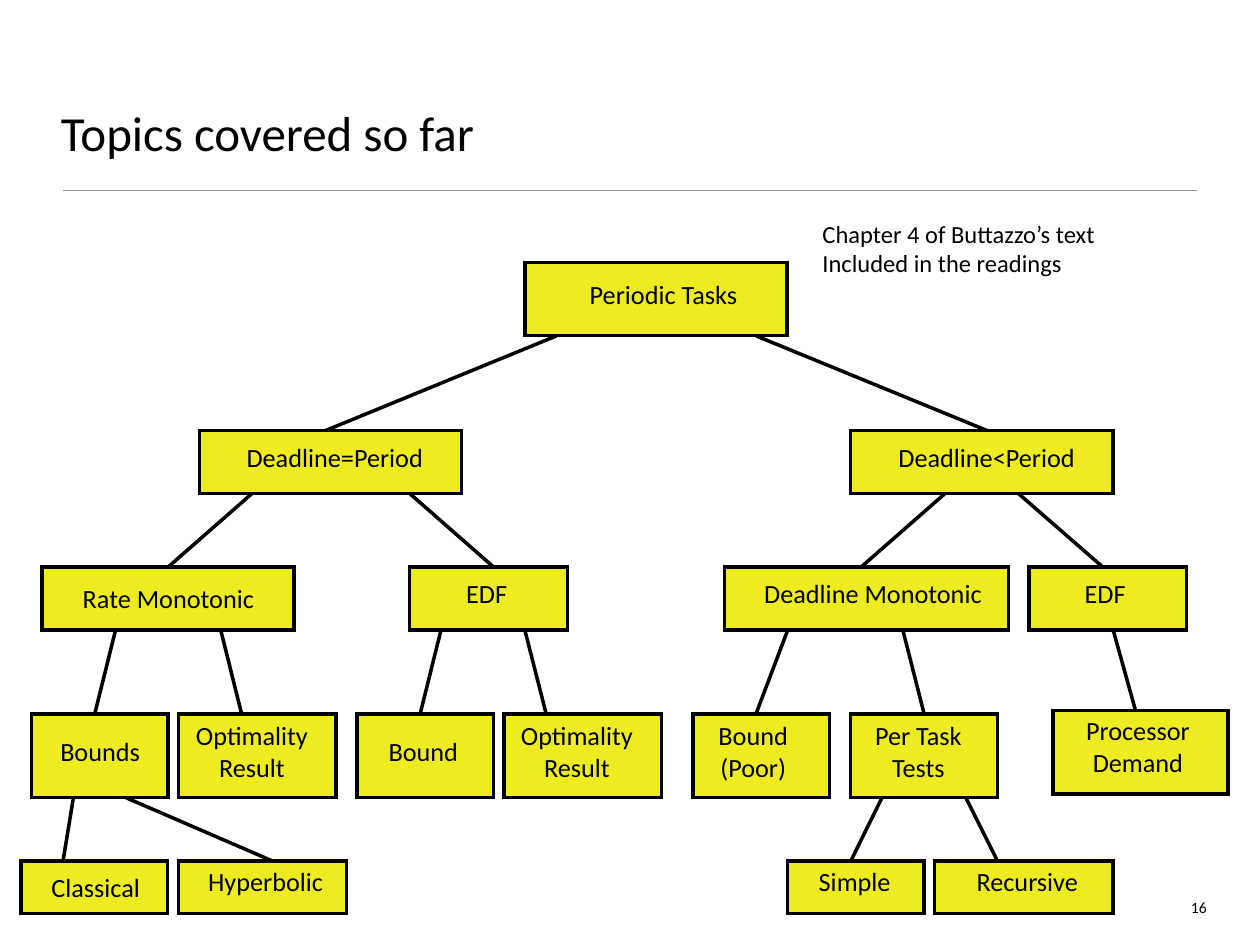
"""Build a slide with a tree of the periodic-task scheduling topics covered so far."""
import pptx
import pptx.dml.color
import pptx.enum.shapes
import pptx.enum.text
import pptx.util
import lxml.etree

Cm = pptx.util.Cm
ALIGN = pptx.enum.text.PP_ALIGN
ANCHOR = pptx.enum.text.MSO_ANCHOR
RECTANGLE = pptx.enum.shapes.MSO_SHAPE.RECTANGLE
STRAIGHT = pptx.enum.shapes.MSO_CONNECTOR.STRAIGHT

COLORS = {"ink": "000000", "topic": "EEEC21", "rule": "9A9A9A"}
FONT = "Calibri"
LINE_HEIGHT = 0.64
JOIN_TOLERANCE = 0.05

LEVELS = [
    (5.29, 1.48, 5.93, [
        ("root", ["Periodic Tasks"], 10.58, 5.29, 11.71, 3.33, None),
    ]),
    (8.68, 1.27, 9.21, [
        ("equal", ["Deadline=Period"], 4.02, 5.29, 4.72, 4.06, ("root", 11.22, 6.56)),
        ("less", ["Deadline<Period"], 17.15, 5.29, 17.86, 4.06, ("root", 15.24, 19.9)),
    ]),
    (11.43, 1.27, 11.95, [
        ("rate", ["Rate Monotonic"], 0.85, 5.08, 1.12, 4.55, ("equal", 5.08, 3.39)),
        ("equal edf", ["EDF"], 8.26, 3.18, 9.3, 1.02, ("equal", 8.26, 9.95)),
        ("deadline", ["Deadline Monotonic"], 14.61, 5.72, 15.16, 4.88, ("less", 19.05, 17.36)),
        ("less edf", ["EDF"], 20.74, 3.18, 21.77, 1.02, ("less", 20.53, 22.23)),
    ]),
    (14.39, 1.69, 15.14, [
        ("bounds", ["Bounds"], 0.64, 2.75, 1.12, 1.8, ("rate", 2.33, 1.91)),
        ("rate optimality", ["Optimality", "Result"], 3.6, 3.18, 3.81, 2.54, ("rate", 4.45, 4.87)),
        ("bound", ["Bound"], 7.2, 2.75, 7.75, 1.57, ("equal edf", 8.89, 8.47)),
        ("edf optimality", ["Optimality", "Result"], 10.16, 3.18, 10.36, 2.54,
         ("equal edf", 10.58, 11.01)),
        ("poor bound", ["Bound", "(Poor)"], 13.97, 2.75, 14.4, 1.57, ("deadline", 15.88, 15.24)),
        ("tests", ["Per Task", "Tests"], 17.15, 2.96, 17.55, 1.93, ("deadline", 18.2, 18.63)),
        ("demand", ["Processor", "Demand"], 21.23, 3.53, 21.77, 2.34, ("less edf", 22.44, 22.89)),
    ]),
    (17.36, 1.06, 17.77, [
        ("classical", ["Classical"], 0.42, 2.96, 0.71, 2.44, ("bounds", 1.48, 1.27)),
        ("hyperbolic", ["Hyperbolic"], 3.6, 3.39, 4.06, 2.59, ("bounds", 2.54, 5.5)),
        ("simple", ["Simple"], 15.88, 2.75, 16.38, 1.7, ("tests", 17.78, 17.15)),
        ("recursive", ["Recursive"], 18.84, 3.6, 19.58, 2.26, ("tests", 19.47, 20.11)),
    ]),
]
BOX_SHIFTS = {"demand": -0.07}
LABEL_SHIFTS = {"rate": 0.1, "classical": 0.12, "demand": -0.1}


def rgb(name):
    return pptx.dml.color.RGBColor.from_string(COLORS[name])


def write(shape, lines, size, align, anchor, inset=0.0, wrap=True):
    frame = shape.text_frame
    frame.word_wrap = wrap
    frame.vertical_anchor = anchor
    frame.margin_left = frame.margin_right = Cm(inset)
    frame.margin_top = frame.margin_bottom = Cm(inset)
    for index, line in enumerate(lines):
        paragraph = frame.add_paragraph() if index else frame.paragraphs[0]
        paragraph.alignment = align
        run = paragraph.add_run()
        run.text = line
        run.font.size = pptx.util.Pt(size)
        run.font.name = FONT
        run.font.color.rgb = rgb("ink")


def add_text(slide, place, *args, **options):
    write(slide.shapes.add_textbox(*map(Cm, place)), *args, **options)


def add_child(parent, tag, **attributes):
    namespace = parent.nsmap["a"]
    lxml.etree.SubElement(parent, f"{{{namespace}}}{tag}", **attributes)


def add_topic_rectangle(slide, *place):
    rectangle = slide.shapes.add_shape(RECTANGLE, *map(Cm, place))
    rectangle.shadow.inherit = False
    rectangle.fill.solid()
    rectangle.fill.fore_color.rgb = rgb("topic")
    return rectangle


def add_line(slide, ends, color, weight):
    line = slide.shapes.add_connector(STRAIGHT, *map(Cm, ends))
    line.line.color.rgb = rgb(color)
    line.line.width = pptx.util.Pt(weight)
    add_child(line._element.spPr, "effectLst")
    return line


def add_tree(slide):
    boxes, bottoms = {}, {}
    for level_top, height, level_centre, topics in LEVELS:
        for key, lines, left, width, label_left, label_width, branch in topics:
            top = level_top + BOX_SHIFTS.get(key, 0)
            box = add_topic_rectangle(slide, left, top, width, height)
            box.line.color.rgb = rgb("ink")
            box.line.width = pptx.util.Pt(2)
            add_child(box._element.spPr.ln, "miter", lim="800000")
            boxes[key], bottoms[key] = box, top + height

            label_height = LINE_HEIGHT * len(lines)
            label_top = level_centre + LABEL_SHIFTS.get(key, 0) - label_height / 2
            label = add_topic_rectangle(slide, label_left, label_top, label_width, label_height)
            label.line.fill.background()
            write(label, lines, 15, ALIGN.CENTER, ANCHOR.MIDDLE, wrap=False)

            if branch:
                parent, start, end = branch
                line = add_line(slide, (start, bottoms[parent], end, top), "ink", 2)
                if abs(end - left - width / 2) < JOIN_TOLERANCE:
                    line.end_connect(boxes[key], 0)


def main():
    deck = pptx.Presentation()
    deck.slide_width, deck.slide_height = Cm(25.4), Cm(19.05)
    slide = deck.slides.add_slide(deck.slide_layouts[6])
    add_line(slide, (1.27, 3.84, 24.13, 3.84), "rule", 0.75)
    add_text(slide, (1.13, 0.64, 23.16, 2.72), ["Topics covered so far"], 28,
             ALIGN.LEFT, ANCHOR.BOTTOM, inset=0.1)
    add_tree(slide)
    add_text(slide, (23.77, 18.04, 0.61, 0.61), ["16"], 9,
             ALIGN.RIGHT, ANCHOR.TOP, inset=0.05)
    add_text(slide, (16.58, 4.13, 7.52, 1.47),
             ["Chapter 4 of Buttazzo’s text", "Included in the readings"], 14,
             ALIGN.LEFT, ANCHOR.BOTTOM)
    deck.save("out.pptx")


if __name__ == "__main__":
    main()
